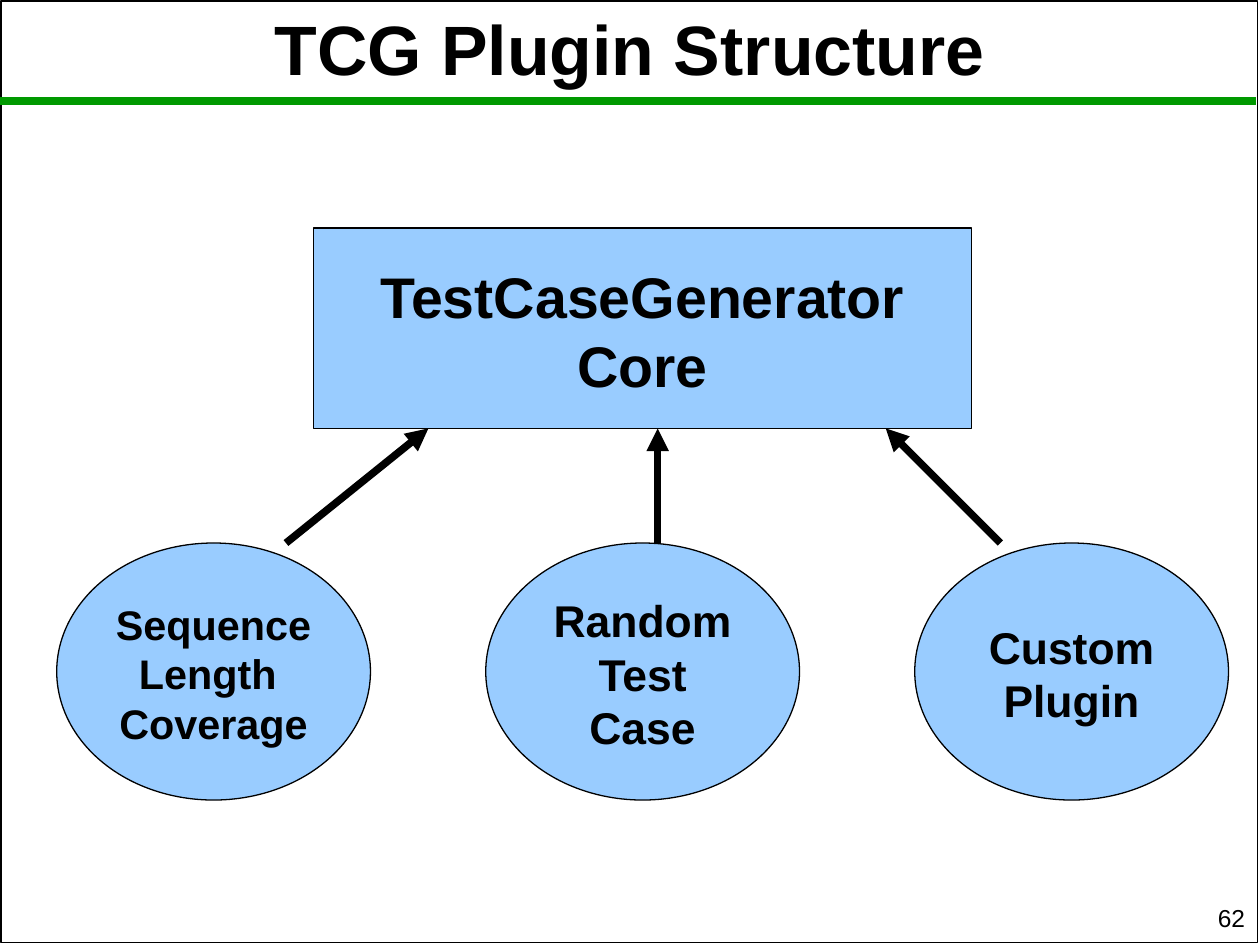
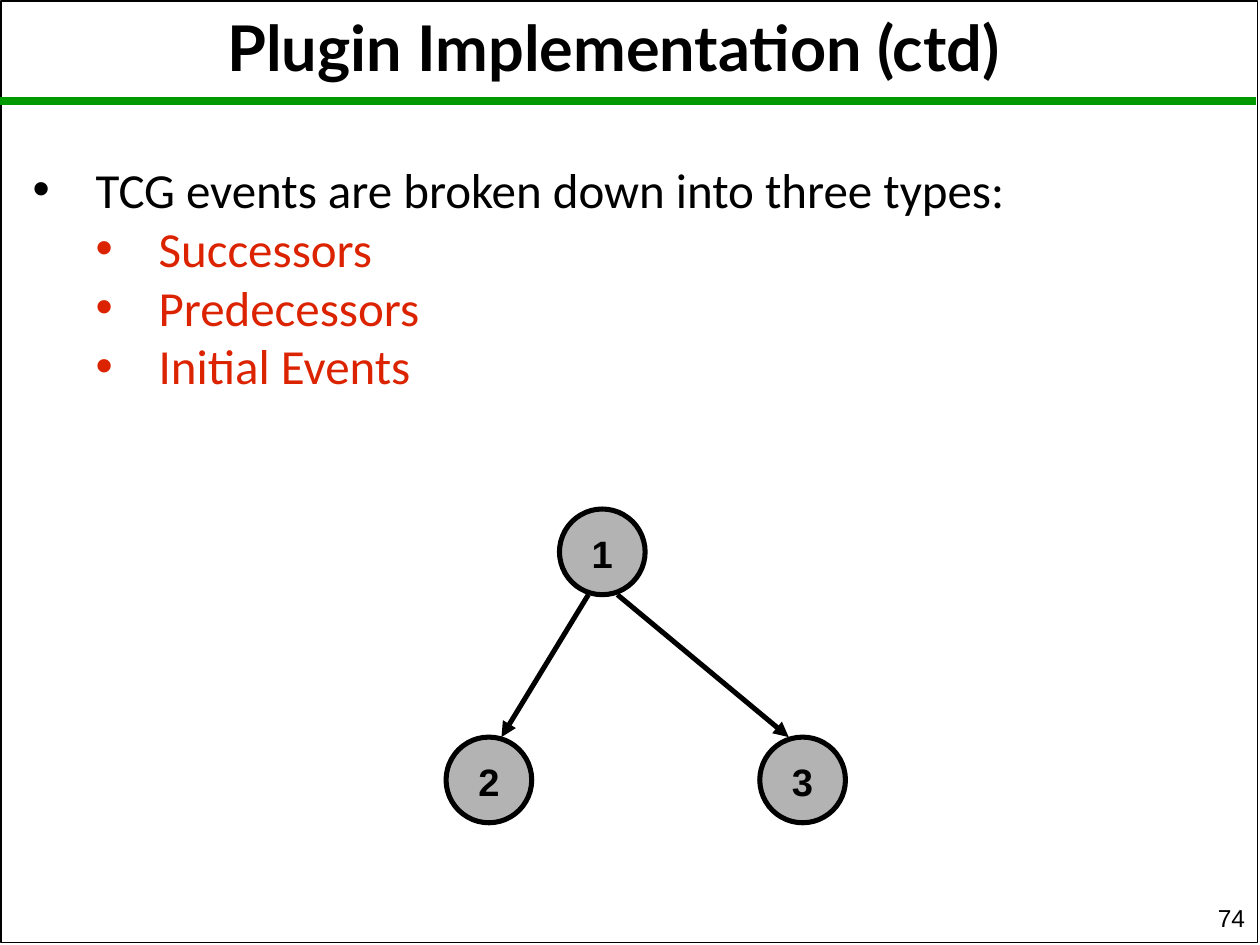
from lxml import etree
from pptx import Presentation
from pptx.dml.color import RGBColor
from pptx.enum.shapes import MSO_CONNECTOR, MSO_SHAPE
from pptx.enum.text import MSO_ANCHOR, PP_ALIGN
from pptx.oxml.ns import qn
from pptx.util import Inches, Pt

RECT, OVAL = MSO_SHAPE.RECTANGLE, MSO_SHAPE.OVAL
LINE = MSO_CONNECTOR.STRAIGHT
MIDDLE, BOTTOM = MSO_ANCHOR.MIDDLE, MSO_ANCHOR.BOTTOM
CENTER, RIGHT, FULL = PP_ALIGN.CENTER, PP_ALIGN.RIGHT, PP_ALIGN.JUSTIFY
COLORS = {"ink": "000000", "rule": "009900", "plugin": "99CCFF",
          "node": "B3B3B3", "event": "DC2300"}


def color(name):
    return RGBColor.from_string(COLORS[name])


def style(para, size, face="Arial", bold=False, ink="ink", align=CENTER):
    para.alignment = align
    font = para.font
    font.size, font.name, font.bold = Pt(size), face, bold
    font.color.rgb = color(ink)


def fit(frame, pads, anchor=MIDDLE):
    frame.word_wrap = True
    frame.vertical_anchor = anchor
    (frame.margin_left, frame.margin_top,
     frame.margin_right, frame.margin_bottom) = map(Inches, pads)


def write(slide, box, text, size, pads, anchor=MIDDLE, **look):
    frame = slide.shapes.add_textbox(*map(Inches, box)).text_frame
    fit(frame, pads, anchor)
    frame.text = text
    style(frame.paragraphs[0], size, **look)


def shape(slide, kind, box, fill, width):
    item = slide.shapes.add_shape(kind, *map(Inches, box))
    item.shadow.inherit = False
    if fill:
        item.fill.solid()
        item.fill.fore_color.rgb = color(fill)
    else:
        item.fill.background()
    item.line.color.rgb = color("ink")
    item.line.width = Pt(width)
    return item


def label(item, text, size, pads):
    frame = item.text_frame
    fit(frame, pads)
    frame.text = text
    for para in frame.paragraphs:
        style(para, size, bold=True)


def line(slide, start, end, width, ink="ink", arrow=False):
    link = slide.shapes.add_connector(LINE, *map(Inches, (*start, *end)))
    link.line.color.rgb = color(ink)
    link.line.width = Pt(width)
    if arrow:
        etree.SubElement(link.line._get_or_add_ln(), qn("a:tailEnd"), type="triangle")
    etree.SubElement(link._element.spPr, qn("a:effectLst"))


def bullet(para, left):
    props = para._p.get_or_add_pPr()
    props.set("marL", str(Inches(left)))
    props.set("indent", str(Inches(-0.5)))
    etree.SubElement(props, qn("a:buFont"), typeface="Arial")
    etree.SubElement(props, qn("a:buChar"), char="•")


def base(deck, title, box, size, face, number):
    slide = deck.slides.add_slide(deck.slide_layouts[6])
    shape(slide, RECT, (0.01, 0.01, 9.97, 7.47), None, 1)
    line(slide, (0, 0.8), (9.97, 0.8), 4.5, "rule")
    write(slide, box, title, size, (0, 0.04, 0, 0), face=face, bold=True)
    write(slide, (7.9, 7.19, 2.08, 0.26), number, 14, (0.1, 0.05, 0.1, 0.05),
          BOTTOM, align=RIGHT)
    return slide


def plugins(slide, box):
    left, top, width, height = box
    pads = (0.09, 0.07, 0.09, 0.04)
    core = shape(slide, RECT, (left + 2.04, top, 5.22, 1.59), "plugin", 0.75)
    label(core, "TestCaseGenerator Core", 32.7, pads)
    wide, tall = 2.49, 2.04
    step = (width - wide) / 2
    row = top + height - tall
    names = (("Sequence\nLength \nCoverage", 23.6), ("Random\nTest Case", 25.4),
             ("Custom\nPlugin", 25.4))
    for i, (name, size) in enumerate(names):
        oval = shape(slide, OVAL, (left + i * step, row, wide, tall), "plugin", 0.75)
        label(oval, name, size, pads)
    for low, high in ((1.82, 2.95), (4.77, 4.77), (7.49, 6.58)):
        line(slide, (left + low, row), (left + high, top + 1.59), 4.31, arrow=True)


def events(slide, box):
    frame = slide.shapes.add_textbox(*map(Inches, box)).text_frame
    fit(frame, (0, 0.03, 0, 0))
    frame.text = ("TCG events are broken down into three types:\n"
                  "Successors\nPredecessors\nInitial Events")
    for i, para in enumerate(frame.paragraphs):
        para.level = min(i, 1)
        bullet(para, 0.5 + 0.5 * para.level)
        style(para, 28, "Calibri", ink="event" if i else "ink", align=FULL)


def tree(slide, box):
    left, top, width, height = box
    side = 0.68
    row = top + height - side
    spots = ((left + 0.9, top), (left, row), (left + width - side, row))
    for i, (x, y) in enumerate(spots, 1):
        node = shape(slide, OVAL, (x, y, side, side), "node", 2.89)
        label(node, str(i), 21.8, (0.11, 0.08, 0.11, 0.06))
    for start, end in ((1.13, 0.44), (1.36, 2.72)):
        line(slide, (left + start, top + side), (left + end, row), 2.89, arrow=True)


def main():
    deck = Presentation()
    deck.slide_width, deck.slide_height = Inches(10), Inches(7.5)
    slide = base(deck, "TCG Plugin Structure", (0.5, -0.22, 9, 1.16),
                 39.9, "Arial", "62")
    plugins(slide, (0.45, 1.81, 9.3, 4.54))
    slide = base(deck, "Plugin Implementation (ctd)", (0.26, 0, 9.22, 0.7),
                 36, "Lato", "74")
    events(slide, (0.26, 0.97, 9.36, 2.43))
    tree(slide, (3.54, 4.04, 3.17, 2.49))
    deck.save("out.pptx")


if __name__ == "__main__":
    main()
